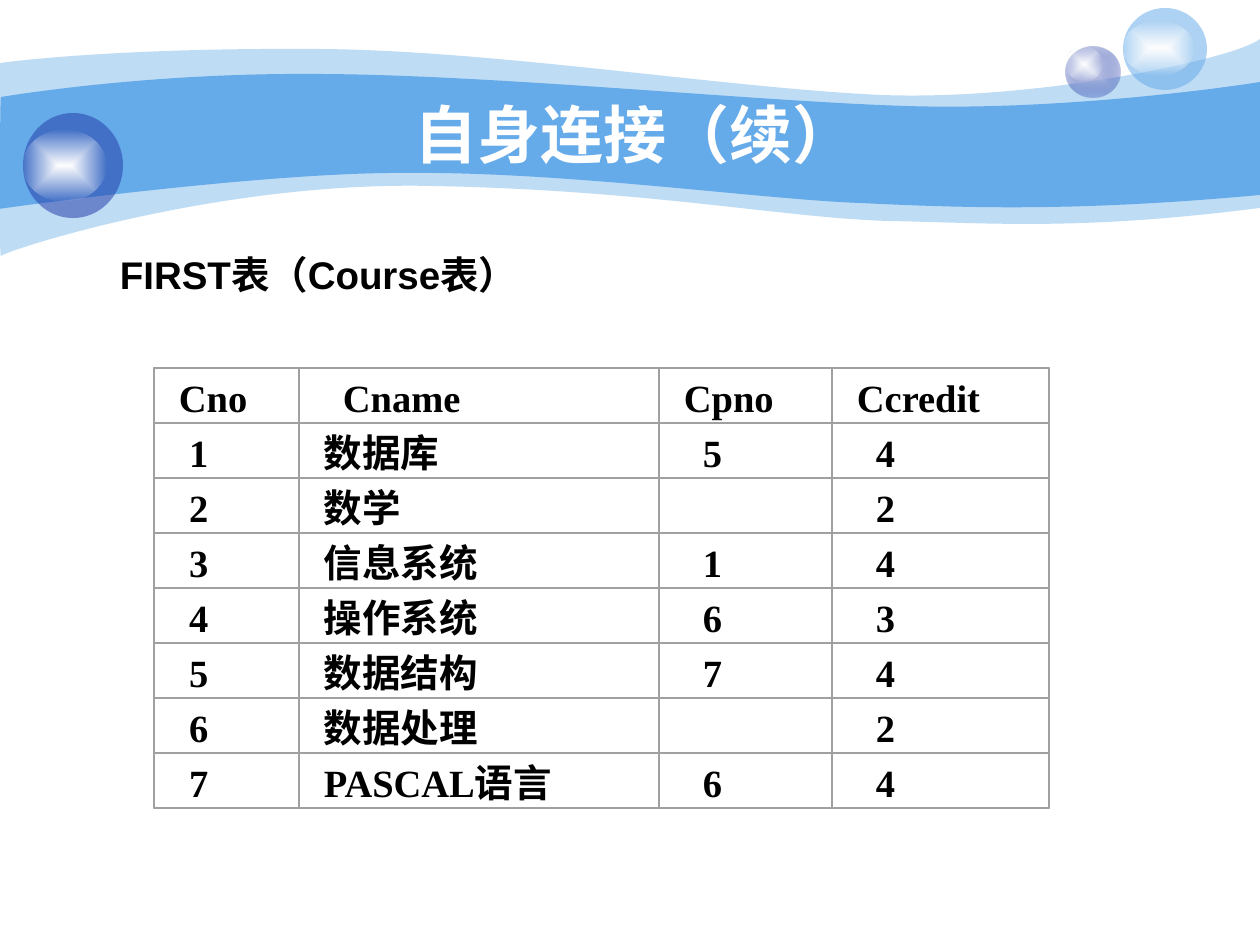
from pptx import Presentation
from pptx.dml.color import RGBColor
from pptx.enum.shapes import MSO_SHAPE
from pptx.enum.text import MSO_ANCHOR, MSO_AUTO_SIZE, PP_ALIGN
from pptx.oxml import parse_xml
from pptx.oxml.ns import nsdecls, qn
from pptx.util import Emu, Pt

EMU_PER_PX = 914400 / 126
COLORS = {
    "sky": "65AAE9",
    "navy": "233DA9",
    "lavender": "C7CEE9",
    "white": "FFFFFF",
    "black": "000000",
    "grid": "A0A0A0",
}
OUTER_WAVE = [
    [(0, 63)],
    [(30, 59), (135, 48), (311, 49)],
    [(486, 49), (725, 88), (881, 95)],
    [(1036, 101), (1235, 59), (1260, 39)],
    [(1260, 208)],
    [(1079, 231), (992, 223), (888, 221)],
    [(784, 218), (649, 190), (432, 186)],
    [(217, 181), (5, 251), (1, 256)],
    [(-1, 262), (0, 95), (0, 63)],
]
INNER_WAVE = [
    [(1, 97)],
    [(3, 97), (139, 73), (312, 74)],
    [(486, 74), (750, 101), (905, 106)],
    [(1060, 111), (1230, 87), (1260, 82)],
    [(1260, 195)],
    [(1075, 212), (964, 208), (859, 203)],
    [(755, 199), (563, 171), (399, 173)],
    [(256, 173), (-3, 209), (-1, 209)],
    [(0, 209), (0, 97), (1, 97)],
]
GLOSS = [("white", 100), ("white", 0)]
COURSES = [
    ("Cno", "Cname", "Cpno", "Ccredit"),
    ("1", "数据库", "5", "4"),
    ("2", "数学", "", "2"),
    ("3", "信息系统", "1", "4"),
    ("4", "操作系统", "6", "3"),
    ("5", "数据结构", "7", "4"),
    ("6", "数据处理", "", "2"),
    ("7", "PASCAL语言", "6", "4"),
]
GRID_LEFT, GRID_TOP = 154, 368
COLUMN_WIDTHS = [145, 360, 173, 217]
ROW_HEIGHT = 55
CELL_PADDING = 12
TEXT_INSET = 13
HEADER_INDENTS = [0, 19, 0, 0]
COURSE_INDENTS = [10, 0, 19, 19]


def px(length):
    return Emu(round(length * EMU_PER_PX))


def rgb(color):
    return RGBColor.from_string(COLORS[color])


def color_xml(color, opacity):
    return f'<a:srgbClr val="{COLORS[color]}"><a:alpha val="{opacity * 1000}"/></a:srgbClr>'


def paint(shape, stops):
    if len(stops) == 1:
        fill = f'<a:solidFill {nsdecls("a")}>{color_xml(*stops[0])}</a:solidFill>'
    else:
        center, edge = stops
        fill = (
            f'<a:gradFill {nsdecls("a")} rotWithShape="1"><a:gsLst>'
            f'<a:gs pos="0">{color_xml(*center)}</a:gs>'
            f'<a:gs pos="100000">{color_xml(*edge)}</a:gs></a:gsLst>'
            '<a:path path="rect"><a:fillToRect l="50000" t="50000" r="50000" b="50000"/></a:path>'
            "</a:gradFill>"
        )
    shape.fill.background()
    properties = shape.element.spPr
    properties.replace(properties.find(qn("a:noFill")), parse_xml(fill))
    shape.line.fill.background()
    shape.shadow.inherit = False


def bend_segments(wave, segments):
    lines = iter(list(wave.element.iter(qn("a:lnTo"))))
    for segment in segments:
        corners = [next(lines) for _ in segment]
        if len(corners) == 3:
            curve = parse_xml(f'<a:cubicBezTo {nsdecls("a")}/>')
            corners[0].addprevious(curve)
            for corner in corners:
                curve.append(corner[0])
                corner.getparent().remove(corner)


def add_wave(slide, segments, opacity):
    points = [(px(x), px(y)) for segment in segments for x, y in segment]
    builder = slide.shapes.build_freeform(*points[0], scale=1.0)
    builder.add_line_segments(points[1:], close=True)
    wave = builder.convert_to_shape()
    bend_segments(wave, segments[1:])
    paint(wave, [("sky", opacity)])


def add_bubble(slide, body, body_stops, highlight):
    bubble = slide.shapes.add_group_shape()
    for bounds, stops in ((body, body_stops), (highlight, GLOSS)):
        paint(bubble.shapes.add_shape(MSO_SHAPE.OVAL, *map(px, bounds)), stops)


def place(shape, left, top, width, height):
    shape.left, shape.top, shape.width, shape.height = map(px, (left, top, width, height))


def set_font(paragraph, name, size, color):
    paragraph.font.name = name
    paragraph.font.size = Pt(size)
    paragraph.font.bold = True
    paragraph.font.color.rgb = rgb(color)


def fill_title(slide, text):
    title = slide.shapes.title
    place(title, 126, 94, 1018, 78)
    frame = title.text_frame
    frame.text = text
    frame.auto_size = MSO_AUTO_SIZE.NONE
    frame.vertical_anchor = MSO_ANCHOR.MIDDLE
    heading = frame.paragraphs[0]
    heading.alignment = PP_ALIGN.CENTER
    set_font(heading, "Arial", 36, "white")
    slide.shapes.element.append(title.element)


def fill_caption(slide, text):
    body = slide.placeholders[1]
    place(body, 64, 234, 1134, 82)
    frame = body.text_frame
    frame.text = text
    frame.auto_size = MSO_AUTO_SIZE.NONE
    frame.margin_left = px(56)
    frame.margin_top = px(17)
    caption = frame.paragraphs[0]
    properties = caption._p.get_or_add_pPr()
    properties.set("marL", "0")
    properties.set("indent", "0")
    properties.append(parse_xml(f'<a:buNone {nsdecls("a")}/>'))
    caption.space_before = Pt(0)
    caption.alignment = PP_ALIGN.JUSTIFY
    set_font(caption, "Arial", 22, "black")
    slide.shapes.element.append(body.element)


def add_frame(grid, bounds, weight):
    frame = grid.shapes.add_shape(MSO_SHAPE.RECTANGLE, *map(px, bounds))
    frame.fill.background()
    frame.line.color.rgb = rgb("grid")
    frame.line.width = Pt(weight)
    frame.shadow.inherit = False


def add_entry(grid, text, left, top, width, indent):
    bounds = (left + CELL_PADDING, top, width - 2 * CELL_PADDING, ROW_HEIGHT)
    frame = grid.shapes.add_textbox(*map(px, bounds)).text_frame
    frame.word_wrap = True
    frame.margin_left = px(TEXT_INSET + indent)
    frame.text = text
    set_font(frame.paragraphs[0], "Times New Roman", 22, "black")


def add_course_grid(slide):
    grid = slide.shapes.add_group_shape()
    for row, course in enumerate(COURSES):
        top = GRID_TOP + row * ROW_HEIGHT
        indents = COURSE_INDENTS if row else HEADER_INDENTS
        left = GRID_LEFT
        for text, width, indent in zip(course, COLUMN_WIDTHS, indents):
            if text:
                add_entry(grid, text, left, top, width, indent)
            add_frame(grid, (left, top, width, ROW_HEIGHT), 0)
            left += width
    outline = (GRID_LEFT, GRID_TOP, sum(COLUMN_WIDTHS), ROW_HEIGHT * len(COURSES))
    add_frame(slide, outline, 0.88)


def main():
    presentation = Presentation()
    presentation.slide_width = px(1260)
    presentation.slide_height = px(945)
    slide = presentation.slides.add_slide(presentation.slide_layouts[1])
    add_wave(slide, OUTER_WAVE, 41)
    add_wave(slide, INNER_WAVE, 100)
    add_bubble(slide, (1066, 47, 54, 51), [("lavender", 100), ("navy", 31)], (1066, 47, 36, 35))
    add_bubble(slide, (1123, 8, 84, 82), [("sky", 53)], (1123, 21, 71, 54))
    add_bubble(slide, (23, 113, 100, 105), [("navy", 53)], (23, 130, 83, 71))
    fill_title(slide, "自身连接（续）")
    fill_caption(slide, "FIRST表（Course表）")
    add_course_grid(slide)
    presentation.save("out.pptx")


if __name__ == "__main__":
    main()
